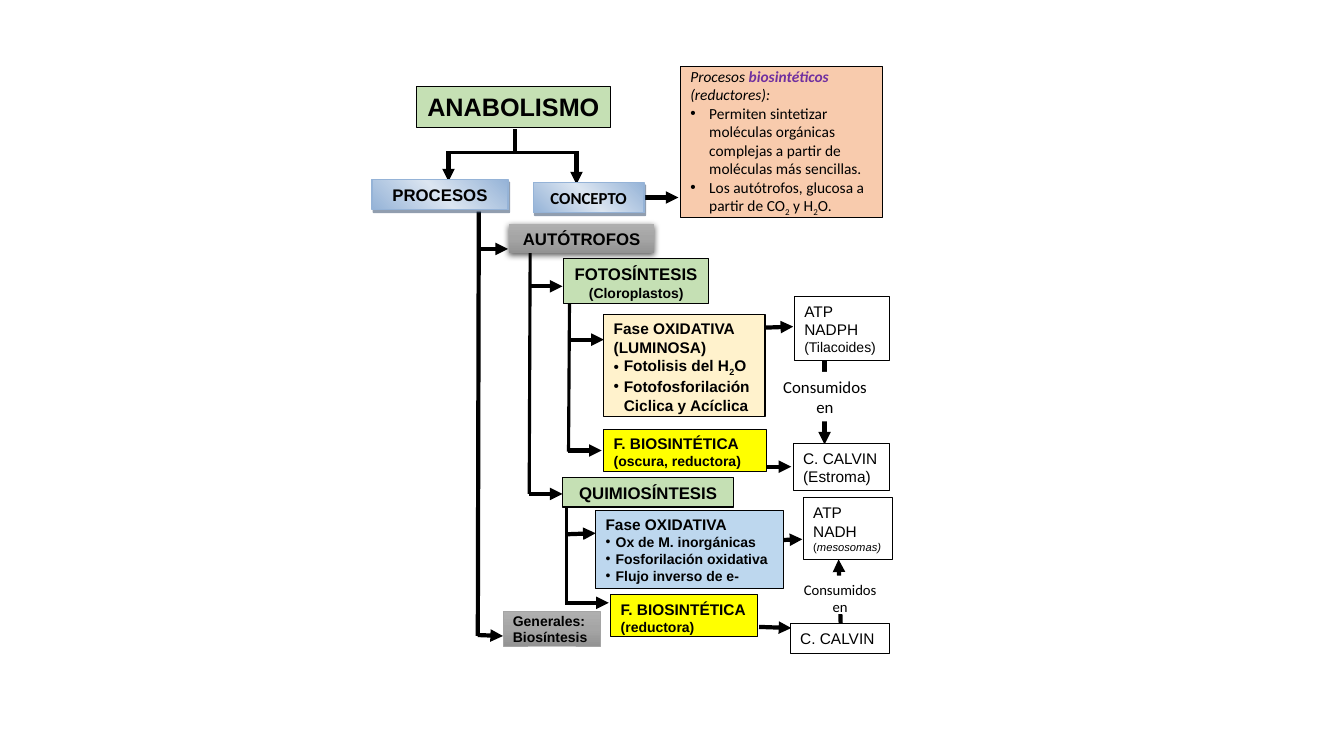
from lxml import etree
from pptx import Presentation
from pptx.dml.color import RGBColor
from pptx.enum.shapes import MSO_CONNECTOR, MSO_SHAPE
from pptx.enum.text import MSO_ANCHOR, PP_ALIGN
from pptx.oxml import parse_xml
from pptx.oxml.ns import qn
from pptx.util import Pt

STRAIGHT = MSO_CONNECTOR.STRAIGHT
RECTANGLE = MSO_SHAPE.RECTANGLE
LEFT, CENTER = PP_ALIGN.LEFT, PP_ALIGN.CENTER
TOP, MIDDLE = MSO_ANCHOR.TOP, MSO_ANCHOR.MIDDLE

BLACK = RGBColor(0x00, 0x00, 0x00)
WHITE = RGBColor(0xFF, 0xFF, 0xFF)
GREEN = RGBColor(0xC5, 0xE0, 0xB4)
PEACH = RGBColor(0xF8, 0xCB, 0xAD)
CREAM = RGBColor(0xFF, 0xF2, 0xCC)
YELLOW = RGBColor(0xFF, 0xFF, 0x00)
SKY = RGBColor(0xBD, 0xD7, 0xEE)
PURPLE = RGBColor(0x70, 0x30, 0xA0)
STEEL = RGBColor(0x95, 0xB3, 0xD7)
PALE_STEEL = RGBColor(0xDB, 0xE5, 0xF1)
NAVY = RGBColor(0x24, 0x3F, 0x60)
LIGHT_GRAY = RGBColor(0xAF, 0xAF, 0xAF)
GRAY = RGBColor(0xA5, 0xA5, 0xA5)
DARK_GRAY = RGBColor(0x93, 0x93, 0x93)

STEEL_BLEND = ((STEEL, PALE_STEEL, STEEL), 315)
GRAY_BLEND = ((LIGHT_GRAY, GRAY, DARK_GRAY), 90)
STEEL_SHADOW = (NAVY, 50, 0, 2.2, 63)
GRAY_SHADOW = (BLACK, 63, 4.5, 1.5, 90)
NAMESPACE = 'xmlns:a="http://schemas.openxmlformats.org/drawingml/2006/main"'

deck = Presentation()
deck.slide_width, deck.slide_height = Pt(960), Pt(540)
page = deck.slides.add_slide(deck.slide_layouts[6])


def add_span(para, text, size, font="Arial", bold=False, italic=False, color=BLACK):
    for index, piece in enumerate(text.split("~")):
        span = para.add_run()
        span.text = piece
        span.font.size = Pt(size)
        span.font.name = font
        span.font.bold = bold
        span.font.italic = italic
        span.font.color.rgb = color
        if index % 2:
            span._r.get_or_add_rPr().set("baseline", "-25000")


def add_box(place, fill, lines, outline=BLACK, weight=0.75, align=LEFT,
            anchor=TOP, shadow=None, **style):
    box = page.shapes.add_shape(RECTANGLE, *[Pt(value) for value in place])
    box.shadow.inherit = False
    properties = box._element.spPr
    if isinstance(fill, RGBColor):
        box.fill.solid()
        box.fill.fore_color.rgb = fill
    else:
        colors, angle = fill
        stops = "".join(
            f'<a:gs pos="{index * 50000}"><a:srgbClr val="{color}"/></a:gs>'
            for index, color in enumerate(colors))
        properties.find(qn("a:prstGeom")).addnext(parse_xml(
            f'<a:gradFill {NAMESPACE} rotWithShape="1"><a:gsLst>{stops}</a:gsLst>'
            f'<a:lin ang="{angle * 60000}" scaled="1"/></a:gradFill>'))
    if outline is None:
        box.line.fill.background()
    else:
        box.line.color.rgb = outline
        box.line.width = Pt(weight)
    if shadow:
        color, alpha, blur, distance, direction = shadow
        properties.find(qn("a:effectLst")).append(parse_xml(
            f'<a:outerShdw {NAMESPACE} blurRad="{Pt(blur)}" dist="{Pt(distance)}" '
            f'dir="{direction * 60000}" algn="ctr" rotWithShape="0">'
            f'<a:srgbClr val="{color}"><a:alpha val="{alpha * 1000}"/></a:srgbClr>'
            f'</a:outerShdw>'))
    frame = box.text_frame
    frame.word_wrap = True
    frame.vertical_anchor = anchor
    for index, (size, indent, *spans) in enumerate(lines):
        para = frame.add_paragraph() if index else frame.paragraphs[0]
        para.alignment = align
        if indent:
            settings = para._p.get_or_add_pPr()
            settings.set("marL", str(Pt(indent)))
            settings.set("indent", str(-Pt(indent)))
            etree.SubElement(settings, qn("a:buFont")).set("typeface", "Arial")
            etree.SubElement(settings, qn("a:buChar")).set("char", "•")
        for text, changes in spans:
            add_span(para, text, size, **{**style, **changes})


branches = [
    (367.9, 92.2, 367.9, 108, 2.25),
    (321.1, 108.7, 411.8, 108.7, 2.25),
    (378.7, 180, 378, 352.8, 2.25),
    (342, 151.2, 341.3, 454.3, 3),
    (406.8, 214.6, 406.1, 322.6, 2.25),
    (404.6, 362.9, 404.6, 432, 2.25),
]
arrows = [
    (411.8, 108, 411.8, 131.8), (320.4, 108, 320.4, 129.6),
    (460.8, 141.1, 484.6, 141.1), (341.3, 453.6, 359.3, 454.3),
    (343.4, 177.8, 362.9, 177.8), (378, 204.5, 401.8, 204.5),
    (378, 352.8, 401.8, 352.8), (406.8, 242.6, 431.3, 242.6),
    (405.4, 321.8, 429.8, 321.8), (547.2, 234, 566.6, 233.3),
    (546.5, 333.4, 565.2, 333.4), (589, 257.8, 589, 317.5),
    (405.4, 381.6, 425.5, 380.9), (404.6, 430.6, 434.9, 430.6),
    (542.2, 447.8, 565.2, 448.6), (554.4, 385.9, 573.1, 385.2),
    (600.5, 445.7, 599, 399.6),
]
for *ends, weight in branches + [(*arrow, 3) for arrow in arrows]:
    link = page.shapes.add_connector(STRAIGHT, *[Pt(value) for value in ends])
    link.line.color.rgb = BLACK
    link.line.width = Pt(weight)
    if tuple(ends) in arrows:
        etree.SubElement(link.line._get_or_add_ln(), qn("a:tailEnd")).set("type", "triangle")
    etree.SubElement(link._element.spPr, qn("a:effectLst"))

heading = {"align": CENTER, "bold": True}
add_box((297.4, 61.9, 138.6, 29.5), GREEN, [(18, 0, ("ANABOLISMO", {}))], **heading)
for place, label, font in [((380.9, 130.3, 79.2, 21.6), "CONCEPTO", "Calibri"),
                           ((265.7, 128.2, 97.2, 21.6), "PROCESOS", "Arial")]:
    add_box(place, STEEL_BLEND, [(12, 0, (label, {}))], outline=STEEL, weight=1,
            shadow=STEEL_SHADOW, font=font, **heading)
add_box((486, 47.5, 144.7, 108), PEACH, [
    (11, 0, ("Procesos ", {"italic": True}),
     ("biosintéticos ", {"italic": True, "bold": True, "color": PURPLE}),
     ("(reductores):", {"italic": True})),
    (11, 13.5, ("Permiten sintetizar moléculas orgánicas complejas a partir de "
                "moléculas más sencillas.", {})),
    (11, 13.5, ("Los autótrofos, glucosa a partir de CO~2~ y H~2~O.", {})),
], anchor=MIDDLE, font="Calibri")

add_box((363.6, 159.8, 103.8, 20.9), GRAY_BLEND, [(12, 0, ("AUTÓTROFOS", {}))],
        outline=None, shadow=GRAY_SHADOW, **heading)
add_box((359.3, 437, 69.8, 24.5), GRAY_BLEND,
        [(10, 0, ("Generales:", {})), (10, 0, ("Biosíntesis", {}))],
        outline=GRAY, weight=0.5, anchor=MIDDLE, bold=True)
add_box((402.4, 185, 104, 31.7), GREEN,
        [(12, 0, ("FOTOSÍNTESIS", {})), (10, 0, ("(Cloroplastos)", {}))], **heading)
add_box((401.8, 341.3, 122.4, 20.9), GREEN, [(12, 0, ("QUIMIOSÍNTESIS", {}))], **heading)

add_box((431.3, 224.6, 115.2, 72.7), CREAM, [
    (11, 0, ("Fase OXIDATIVA (LUMINOSA)", {})),
    (11, 7.2, ("Fotolisis del H~2~O", {})),
    (11, 7.2, ("Fotofosforilación Ciclica y Acíclica", {})),
], bold=True)
add_box((425.5, 364.3, 133.9, 56.2), SKY, [
    (11, 0, ("Fase OXIDATIVA", {})),
    *[(10, 7.2, (step, {})) for step in
      ("Ox de M. inorgánicas", "Fosforilación oxidativa", "Flujo inverso de e-")],
], bold=True)
for place, note in [((431.3, 306.7, 115.9, 30.2), "(oscura, reductora)"),
                    ((436.3, 424.8, 105.1, 30.2), "(reductora)")]:
    add_box(place, YELLOW, [(11, 0, ("F. BIOSINTÉTICA", {})), (10, 0, (note, {}))], bold=True)

for place, lines in [
    ((567.4, 211.7, 67.9, 46.1),
     [(11, 0, ("ATP", {})), (11, 0, ("NADPH", {})), (10, 0, ("(Tilacoides)", {}))]),
    ((566.6, 316.8, 69.1, 33.8), [(11, 0, ("C. CALVIN", {})), (11, 0, ("(Estroma)", {}))]),
    ((573.8, 355.7, 63.6, 43.9),
     [(11, 0, ("ATP", {})), (11, 0, ("NADH", {})),
      (8, 0, ("(", {}), ("mesosomas)", {"italic": True}))]),
    ((564.5, 445.7, 70.6, 20.9), [(11, 0, ("C. CALVIN", {}))]),
]:
    add_box(place, WHITE, lines, anchor=MIDDLE)
for place, lines in [
    ((552.2, 265.7, 74.2, 35.3), [(12, 0, ("Consumidos en", {}))]),
    ((565.9, 411.1, 68.4, 27.4), [(10.5, 0, ("Consumidos ", {})), (10.5, 0, ("en", {}))]),
]:
    add_box(place, WHITE, lines, outline=None, align=CENTER, font="Calibri")

deck.save("out.pptx")
